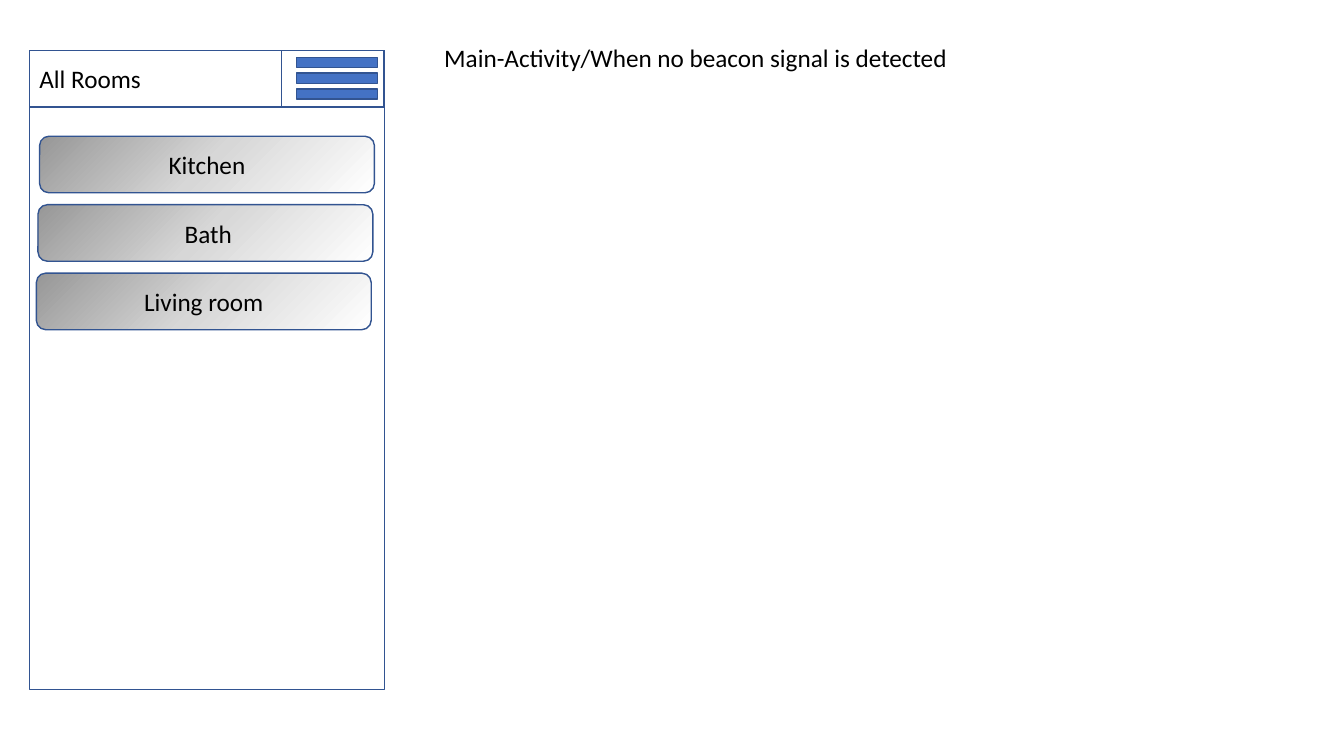
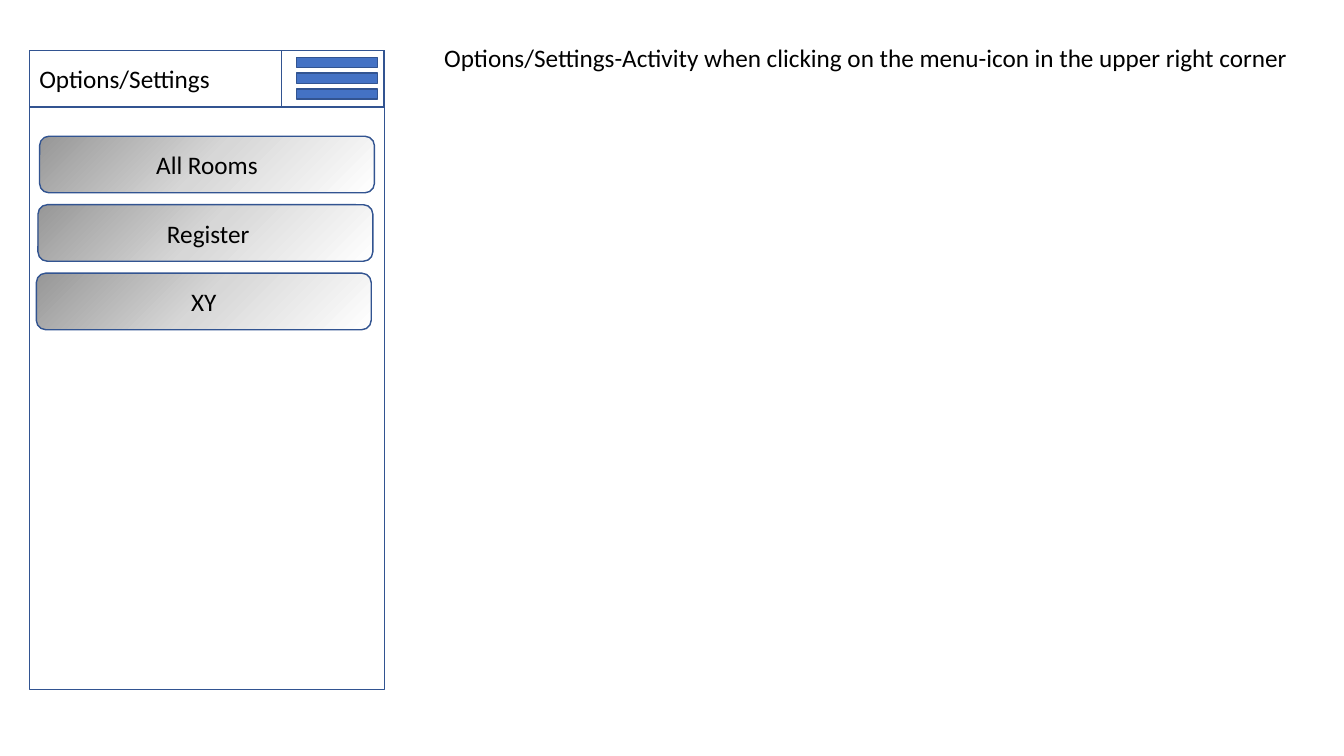
from copy import deepcopy

from pptx import Presentation
from pptx import util as u
from pptx.dml.color import RGBColor
from pptx.enum import shapes, text
from pptx.oxml import ns

COLORS = {
    "text": "000000",
    "outline": "325491",
    "panel": "FFFFFF",
    "bar": "4472C4",
    "shade_dark": "979797",
    "shade_middle": "D7D7D7",
    "shade_light": "FFFFFF",
}
SHADES = [(0, "shade_dark"), (0.5, "shade_middle"), (1, "shade_light")]
FONT = {"name": "Calibri", "size": u.Pt(18)}

PHONE_LEFT, PHONE_TOP, PHONE_WIDTH, PHONE_HEIGHT = 21, 36, 253.5, 456.5
ROW_HEIGHT = 40.4
MENU_WIDTH = 73.2
BAR_LEFT, BAR_TOP, BAR_WIDTH, BAR_HEIGHT, BAR_STEP = 211.9, 41, 57.6, 7.2, 11.3
BUTTON_LEFT, BUTTON_TOP, BUTTON_WIDTH = 28.3, 97.3, 239.2
BUTTON_STEP, BUTTON_SHIFT = 48.9, -1.15

SCREENS = [
    (
        "All Rooms",
        ["Kitchen", " Bath", "Living room"],
        "Main-Activity/When no beacon signal is detected",
    ),
    (
        "Options/Settings",
        ["All Rooms", " Register", "XY"],
        "Options/Settings-Activity when clicking on the menu-icon in the upper right corner",
    ),
]


def color(name):
    return RGBColor.from_string(COLORS[name])


class Mockup:
    def __init__(self):
        self.presentation = Presentation()
        self.presentation.slide_width = u.Pt(960)
        self.presentation.slide_height = u.Pt(540)
        self.slide = None

    def new_slide(self):
        self.slide = self.presentation.slides.add_slide(self.presentation.slide_layouts[6])

    def add_words(self, shape, words, alignment=text.PP_ALIGN.LEFT):
        paragraph = shape.text_frame.paragraphs[0]
        paragraph.alignment = alignment
        run = paragraph.add_run()
        run.text = words
        for attribute, value in FONT.items():
            setattr(run.font, attribute, value)
        run.font.color.rgb = color("text")

    def box(self, left, top, width, height, fill=None, kind=shapes.MSO_SHAPE.RECTANGLE):
        shape = self.slide.shapes.add_shape(kind, u.Pt(left), u.Pt(top), u.Pt(width), u.Pt(height))
        shape.shadow.inherit = False
        shape.line.color.rgb = color("outline")
        shape.line.width = u.Pt(1)
        if fill:
            shape.fill.solid()
            shape.fill.fore_color.rgb = color(fill)
        else:
            shape.fill.background()
        return shape

    def shade(self, shape):
        shape.fill.gradient()
        shape.fill.gradient_angle = 315
        stop_list = shape.element.spPr.find(ns.qn("a:gradFill")).find(ns.qn("a:gsLst"))
        stop_list.append(deepcopy(stop_list[-1]))
        for stop, (position, name) in zip(shape.fill.gradient_stops, SHADES):
            stop.position = position
            stop.color.rgb = color(name)

    def button(self, index, label):
        shape = self.box(
            BUTTON_LEFT + index * BUTTON_SHIFT,
            BUTTON_TOP + index * BUTTON_STEP,
            BUTTON_WIDTH,
            ROW_HEIGHT,
            kind=shapes.MSO_SHAPE.ROUNDED_RECTANGLE,
        )
        self.shade(shape)
        self.add_words(shape, label, text.PP_ALIGN.CENTER)

    def header(self, title):
        shape = self.box(PHONE_LEFT, PHONE_TOP, PHONE_WIDTH, ROW_HEIGHT, "panel")
        self.add_words(shape, title)

    def menu_icon(self):
        menu_left = PHONE_LEFT + PHONE_WIDTH - MENU_WIDTH
        self.box(menu_left, PHONE_TOP, MENU_WIDTH, ROW_HEIGHT, "panel")
        for index in range(3):
            self.box(BAR_LEFT, BAR_TOP + index * BAR_STEP, BAR_WIDTH, BAR_HEIGHT, "bar")

    def caption(self, words):
        shape = self.slide.shapes.add_textbox(u.Pt(310.2), u.Pt(26.8), u.Pt(628.8), u.Pt(29))
        shape.text_frame.word_wrap = True
        shape.text_frame.auto_size = text.MSO_AUTO_SIZE.SHAPE_TO_FIT_TEXT
        self.add_words(shape, words)

    def screen(self, title, labels, description):
        self.new_slide()
        self.box(PHONE_LEFT, PHONE_TOP, PHONE_WIDTH, PHONE_HEIGHT)
        self.header(title)
        self.menu_icon()
        for index, label in enumerate(labels):
            self.button(index, label)
        self.caption(description)


def main():
    mockup = Mockup()
    for title, labels, description in SCREENS:
        mockup.screen(title, labels, description)
    mockup.presentation.save("out.pptx")


if __name__ == "__main__":
    main()
